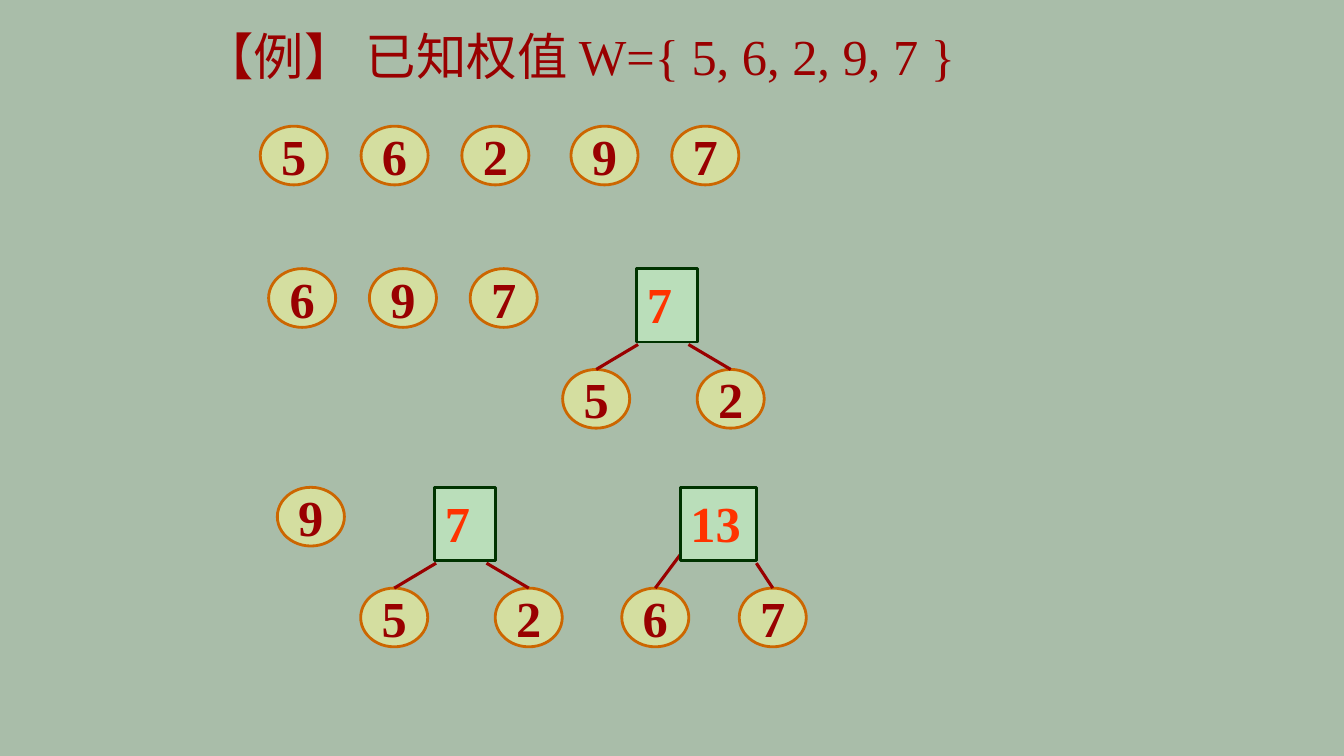
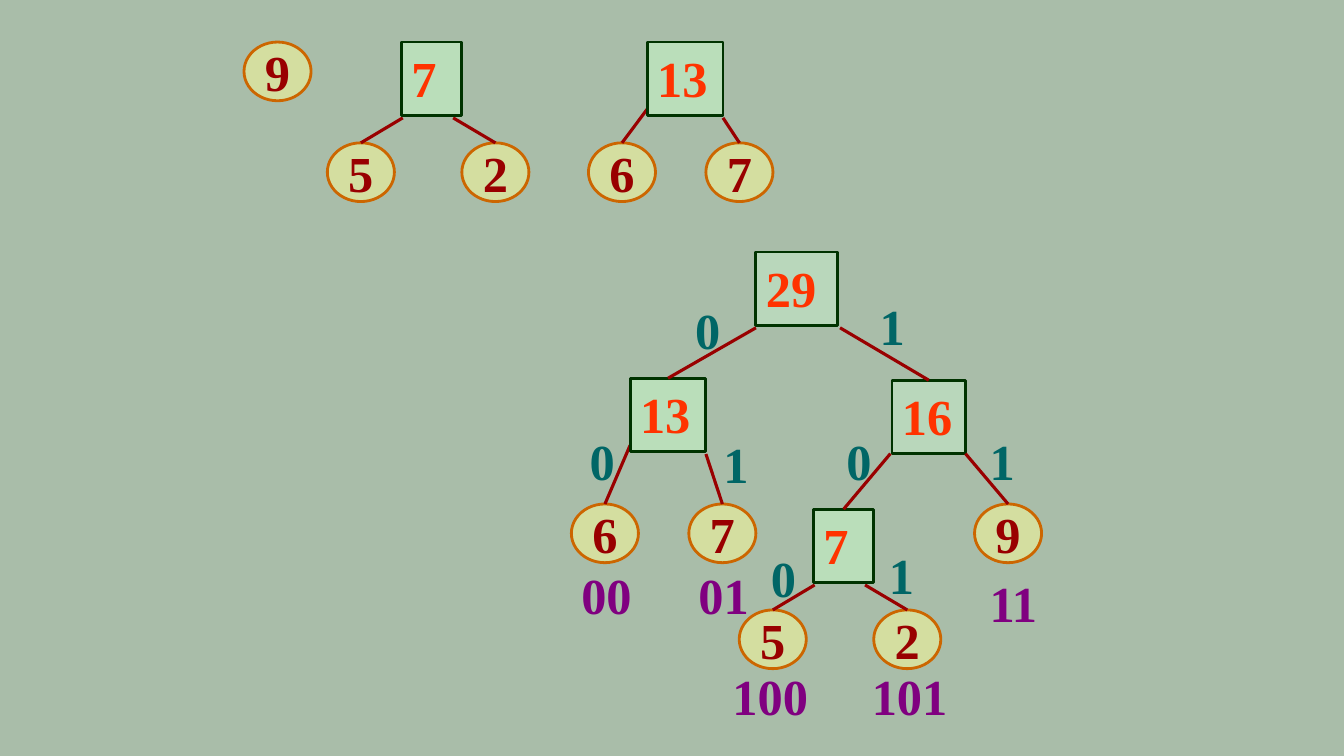
from dataclasses import dataclass

from lxml.etree import SubElement
from pptx import Presentation
from pptx.dml.color import RGBColor as Rgb
from pptx.enum.shapes import MSO_CONNECTOR as Link, MSO_SHAPE as Preset
from pptx.enum.text import MSO_ANCHOR as Anchor, MSO_AUTO_SIZE as Fit, PP_ALIGN as Align
from pptx.oxml.ns import qn
from pptx.shapes.autoshape import Shape
from pptx.slide import Slide
from pptx.text.text import TextFrame
from pptx.util import Cm, Pt


@dataclass(frozen=True)
class Theme:
    background: str = "A9BDA9"
    leaf_fill: str = "FFFF99"
    leaf_line: str = "CC6600"
    sum_fill: str = "CCFFCC"
    new_sum_fill: str = "CAF2CE"
    sum_line: str = "003300"
    sum_text: str = "FF3300"
    dark_red: str = "990000"
    bit: str = "006666"
    code: str = "800080"
    latin: str = "Times New Roman"
    chinese: str = "Noto Sans CJK SC"
    size: int = 36
    outline: float = 2
    edge: float = 2.25


THEME = Theme()
LEAF_W, LEAF_H, SUM_H = 1.69, 1.48, 1.85
STEP = 2.54  # spacing of leaves in a row and of tree levels


@dataclass(frozen=True)
class Sum:
    """A merged weight: box width and the points where its two edges leave."""
    text: str
    width: float
    left_exit: tuple[float, float]
    right_exit: tuple[float, float]
    fill: str = THEME.sum_fill


@dataclass(frozen=True)
class Pair:
    """A sum over two leaves, placed relative to the sum's corner."""
    root: Sum
    leaves: tuple[str, str]
    offsets: tuple[float, float]


@dataclass(frozen=True)
class Label:
    text: str
    left: float
    top: float


SEVEN = Pair(Sum("7", 1.52, (0.03, 1.91), (1.3, 1.91)), ("5", "2"), (-1.87, 1.52))
THIRTEEN = Pair(Sum("13", 1.91, (0, 1.69), (1.91, 1.91)), ("6", "7"), (-1.48, 1.48))
SIXTEEN = Sum("16", 1.85, (-0.04, 1.85), (1.85, 1.85), THEME.new_sum_fill)
TWENTY_NINE = Sum("29", 2.06, (0, 1.91), (2.12, 1.91), THEME.new_sum_fill)

BITS = (
    Label("0", 17.27, 7.42), Label("1", 21.92, 7.32),
    Label("0", 14.61, 10.72), Label("1", 17.98, 10.8),
    Label("0", 21.08, 10.72), Label("1", 24.69, 10.72),
    Label("0", 19.18, 13.67), Label("1", 22.15, 13.59),
)
CODES = (
    Label("00", 14.4, 14.1), Label("01", 17.35, 14.1), Label("11", 24.69, 14.3),
    Label("100", 18.21, 16.64), Label("101", 21.72, 16.64),
)


# Text and shapes
def add_run(frame: TextFrame, text: str, color: str, bold: bool = True,
            face: str = THEME.latin) -> None:
    run = frame.paragraphs[0].add_run()
    run.text = text
    run.font.size, run.font.bold, run.font.name = Pt(THEME.size), bold, face
    run.font.color.rgb = Rgb.from_string(color)
    SubElement(run.font._element, qn("a:ea")).set("typeface", face)


def add_node(slide: Slide, preset: Preset, left: float, top: float, width: float,
             height: float, fill: str, line: str) -> Shape:
    node = slide.shapes.add_shape(preset, Cm(left), Cm(top), Cm(width), Cm(height))
    node.shadow.inherit = False
    node.fill.solid()
    node.fill.fore_color.rgb = Rgb.from_string(fill)
    tint = node._element.spPr.find(qn("a:solidFill"))[0]
    SubElement(tint, qn("a:alpha")).set("val", "50000")
    node.line.color.rgb = Rgb.from_string(line)
    node.line.width = Pt(THEME.outline)
    return node


def add_leaf(slide: Slide, weight: str, left: float, top: float) -> Shape:
    leaf = add_node(slide, Preset.OVAL, left, top, LEAF_W, LEAF_H,
                    THEME.leaf_fill, THEME.leaf_line)
    frame = leaf.text_frame
    frame.word_wrap, frame.vertical_anchor = False, Anchor.MIDDLE
    frame.paragraphs[0].alignment = Align.CENTER
    add_run(frame, weight, THEME.dark_red)
    return leaf


def add_leaf_row(slide: Slide, weights: str, left: float, top: float) -> None:
    for index, weight in enumerate(weights):
        add_leaf(slide, weight, left + index * STEP, top)


def add_sum(slide: Slide, total: Sum, left: float, top: float) -> Shape:
    box = add_node(slide, Preset.RECTANGLE, left, top, total.width, SUM_H,
                   total.fill, THEME.sum_line)
    frame = box.text_frame
    frame.word_wrap, frame.vertical_anchor = True, Anchor.TOP
    frame.paragraphs[0].alignment = Align.LEFT
    add_run(frame, total.text, THEME.sum_text)
    return box


def add_text(slide: Slide, left: float, top: float, width: float) -> TextFrame:
    frame = slide.shapes.add_textbox(Cm(left), Cm(top), Cm(width), Cm(1.78)).text_frame
    frame.word_wrap, frame.auto_size = False, Fit.SHAPE_TO_FIT_TEXT
    return frame


def add_labels(slide: Slide, labels: tuple[Label, ...], color: str) -> None:
    for label in labels:
        width = 0.5 + 0.64 * len(label.text)
        add_run(add_text(slide, label.left, label.top, width), label.text, color)


# Trees
def join_children(slide: Slide, total: Sum, left: float, top: float,
                  children: tuple[Shape, Shape]) -> None:
    for (dx, dy), child in zip((total.left_exit, total.right_exit), children):
        x, y = Cm(left + dx), Cm(top + dy)
        edge = slide.shapes.add_connector(Link.STRAIGHT, x, y, x, y)
        edge.end_connect(child, 0)
        edge.line.color.rgb = Rgb.from_string(THEME.dark_red)
        edge.line.width = Pt(THEME.edge)
        SubElement(edge._element.spPr, qn("a:effectLst"))


def add_pair(slide: Slide, pair: Pair, left: float, top: float,
             drop: float = STEP) -> Shape:
    first, second = (add_leaf(slide, weight, left + dx, top + drop)
                     for weight, dx in zip(pair.leaves, pair.offsets))
    join_children(slide, pair.root, left, top, (first, second))
    return add_sum(slide, pair.root, left, top)


def add_forest(slide: Slide, left: float, top: float) -> None:
    """The step with 9, 7 and 13 left, which both slides show."""
    add_leaf(slide, "9", left, top)
    add_pair(slide, SEVEN, left + 3.97, top)
    add_pair(slide, THIRTEEN, left + 10.16, top)


# Slides
def build_first_merges(slide: Slide) -> None:
    title = add_text(slide, 4.88, 0.51, 19.81)
    add_run(title, "【例】 已知权值 ", THEME.dark_red, False, THEME.chinese)
    add_run(title, "W={ 5, 6, 2, 9, 7 }", THEME.dark_red, False)
    add_leaf_row(slide, "562", 6.56, 3.18)
    add_leaf_row(slide, "97", 16.93 - STEP, 3.18)
    add_leaf_row(slide, "697", 6.77, 6.77)
    add_pair(slide, SEVEN, 16.05, 6.77)
    add_forest(slide, 6.99, 12.28)


def build_final_tree(slide: Slide) -> None:
    add_forest(slide, 6.15, 1.06)
    # Full tree, from the leaves up
    seven = add_pair(slide, SEVEN, 20.5, 12.83)
    nine = add_leaf(slide, "9", 24.56, 12.7)
    thirteen = add_pair(slide, THIRTEEN, 15.88, 9.53, drop=3.17)
    sixteen = add_sum(slide, SIXTEEN, 22.48, 9.58)
    join_children(slide, SIXTEEN, 22.48, 9.58, (seven, nine))
    add_sum(slide, TWENTY_NINE, 19.05, 6.35)
    join_children(slide, TWENTY_NINE, 19.05, 6.35, (thirteen, sixteen))
    # Edge bits and resulting codes
    add_labels(slide, BITS, THEME.bit)
    add_labels(slide, CODES, THEME.code)


def main() -> None:
    deck = Presentation()
    deck.slide_width, deck.slide_height = Cm(33.87), Cm(19.05)
    backdrop = deck.slide_master.background.fill
    backdrop.solid()
    backdrop.fore_color.rgb = Rgb.from_string(THEME.background)
    for build in (build_first_merges, build_final_tree):
        build(deck.slides.add_slide(deck.slide_layouts[6]))
    deck.save("out.pptx")


if __name__ == "__main__":
    main()
